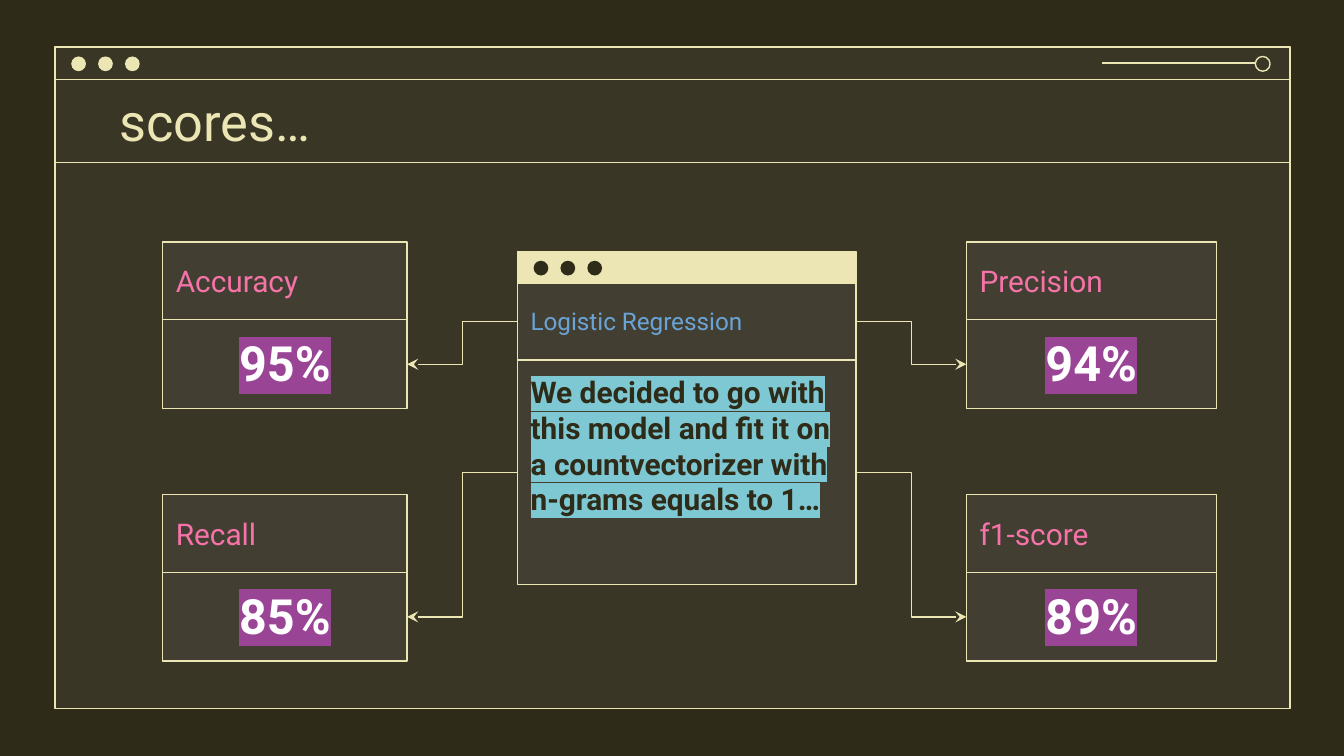
"""Build the model scores slide: four metric cards linked to a central model window."""
from dataclasses import dataclass

from lxml import etree
from pptx import Presentation
from pptx.dml.color import RGBColor
from pptx.enum.shapes import MSO_CONNECTOR, MSO_SHAPE
from pptx.enum.text import MSO_ANCHOR, MSO_AUTO_SIZE, PP_ALIGN
from pptx.oxml.ns import qn
from pptx.shapes.autoshape import Shape
from pptx.shapes.connector import Connector
from pptx.slide import Slide
from pptx.text.text import TextFrame
from pptx.util import Inches, Pt

RECT, OVAL = MSO_SHAPE.RECTANGLE, MSO_SHAPE.OVAL
STRAIGHT, ELBOW = MSO_CONNECTOR.STRAIGHT, MSO_CONNECTOR.ELBOW
LEFT, CENTER = PP_ALIGN.LEFT, PP_ALIGN.CENTER
TOP, MIDDLE = MSO_ANCHOR.TOP, MSO_ANCHOR.MIDDLE
NO_AUTOFIT = MSO_AUTO_SIZE.NONE
LEFT_SIDE, RIGHT_SIDE = 1, 3


@dataclass(frozen=True)
class Theme:
    """Colours, type sizes and line settings of the slide."""

    font: str = "Roboto"
    dark: str = "2F2B19"
    cream: str = "ECE5B4"
    veil: str = "7C7C7C"
    veil_alpha: int = 14
    pink: str = "F673A9"
    blue: str = "6AA4D6"
    white: str = "FFFFFF"
    purple: str = "9A4496"
    teal: str = "7EC8D4"
    title_size: int = 28
    score_size: int = 26
    text_size: int = 16
    model_size: int = 13
    line: float = 0.75


@dataclass(frozen=True)
class Box:
    """Position and size in inches."""

    left: float
    top: float
    width: float
    height: float


@dataclass(frozen=True)
class TextStyle:
    """Look of one text."""

    size: int
    color: str
    bold: bool = False
    highlight: str | None = None
    align: PP_ALIGN = LEFT
    anchor: MSO_ANCHOR = MIDDLE


@dataclass(frozen=True)
class Metric:
    """One score card and its side of the model window."""

    label: str
    score: str
    left: float
    top: float
    width: float
    window_side: int


THEME = Theme()
TITLE_STYLE = TextStyle(THEME.title_size, THEME.cream)
LABEL_STYLE = TextStyle(THEME.text_size, THEME.pink)
SCORE_STYLE = TextStyle(THEME.score_size, THEME.white, True, THEME.purple, CENTER, TOP)
MODEL_STYLE = TextStyle(THEME.model_size, THEME.blue)
REASON_STYLE = TextStyle(THEME.text_size, THEME.dark, True, THEME.teal, LEFT, TOP)

HEADER_HEIGHT, SCORE_HEIGHT = 0.58, 0.66
BAR_HEIGHT, DOT, DOT_STEP = 0.24, 0.11, 0.2
FRAME = Box(0.41, 0.35, 9.19, 4.92)
WINDOW = Box(3.85, 1.87, 2.52, 2.48)
MODEL_NAME_TOP = 2.1
RULE_TOP = 1.21
SLIDER_START, SLIDER_KNOB = 8.2, 9.34
METRICS = (
    Metric("Accuracy", "95%", 1.21, 1.8, 1.82, LEFT_SIDE),
    Metric("Precision", "94%", 7.19, 1.8, 1.86, RIGHT_SIDE),
    Metric("Recall", "85%", 1.21, 3.68, 1.82, LEFT_SIDE),
    Metric("f1-score", "89%", 7.19, 3.68, 1.86, RIGHT_SIDE),
)


def rgb(color: str) -> RGBColor:
    """Return the colour object for a hex value."""
    return RGBColor.from_string(color)


def add_block(slide: Slide, box: Box, fill: str | None = None, line: str | None = None,
              kind: MSO_SHAPE = RECT, alpha: int = 100) -> Shape:
    """Draw a preset shape, by default without fill or outline."""
    block = slide.shapes.add_shape(kind, Inches(box.left), Inches(box.top),
                                   Inches(box.width), Inches(box.height))
    block.shadow.inherit = False
    if fill:
        block.fill.solid()
        block.fill.fore_color.rgb = rgb(fill)
        if alpha < 100:
            color = block.fill._xPr.find(qn("a:solidFill"))[0]
            etree.SubElement(color, qn("a:alpha"), val=str(alpha * 1000))
    else:
        block.fill.background()
    if line:
        block.line.color.rgb = rgb(line)
        block.line.width = Pt(THEME.line)
    else:
        block.line.fill.background()
    return block


def add_veil(slide: Slide, box: Box) -> Shape:
    """Draw a faint translucent panel."""
    return add_block(slide, box, THEME.veil, alpha=THEME.veil_alpha)


def write(frame: TextFrame, text: str, style: TextStyle) -> None:
    """Write one styled run into a text frame."""
    frame.word_wrap = True
    frame.auto_size = NO_AUTOFIT
    frame.vertical_anchor = style.anchor
    frame.margin_left = frame.margin_right = Inches(0.1)
    frame.margin_top = frame.margin_bottom = Inches(0.1)
    paragraph = frame.paragraphs[0]
    paragraph.alignment = style.align
    run = paragraph.add_run()
    run.text = text
    run.font.name = THEME.font
    run.font.size = Pt(style.size)
    run.font.bold = style.bold
    run.font.color.rgb = rgb(style.color)
    if style.highlight:
        highlight = etree.Element(qn("a:highlight"))
        etree.SubElement(highlight, qn("a:srgbClr"), val=style.highlight)
        run.font._element.find(qn("a:solidFill")).addnext(highlight)


def add_text_block(slide: Slide, box: Box, text: str, style: TextStyle) -> Shape:
    """Draw an outlined rectangle with text."""
    block = add_block(slide, box, line=THEME.cream)
    write(block.text_frame, text, style)
    return block


def add_line(slide: Slide, kind: MSO_CONNECTOR, start: tuple[float, float] = (0, 0),
             end: tuple[float, float] = (0, 0)) -> Connector:
    """Draw a thin cream connector."""
    connector = slide.shapes.add_connector(kind, *map(Inches, start + end))
    connector.line.color.rgb = rgb(THEME.cream)
    connector.line.width = Pt(THEME.line)
    etree.SubElement(connector._element.spPr, qn("a:effectLst"))
    return connector


def add_arrow(slide: Slide, source: Shape, source_side: int, target: Shape) -> None:
    """Join two blocks with an elbow arrow."""
    arrow = add_line(slide, ELBOW)
    arrow.begin_connect(source, source_side)
    arrow.end_connect(target, LEFT_SIDE if source_side == RIGHT_SIDE else RIGHT_SIDE)
    etree.SubElement(arrow.line._get_or_add_ln(), qn("a:tailEnd"), type="stealth")


def add_window_bar(slide: Slide, window: Box, dot_color: str, fill: str | None = None) -> None:
    """Draw a window's top bar with its three dots."""
    add_block(slide, Box(window.left, window.top, window.width, BAR_HEIGHT), fill, THEME.cream)
    for index in range(3):
        add_block(slide, Box(window.left + 0.12 + index * DOT_STEP, window.top + 0.07, DOT, DOT),
                  dot_color, kind=OVAL)


def add_frame(slide: Slide) -> None:
    """Draw the outer window with its slider and title rule."""
    add_veil(slide, FRAME)
    add_block(slide, FRAME, line=THEME.cream)
    add_window_bar(slide, FRAME, THEME.cream)
    add_block(slide, Box(SLIDER_KNOB, FRAME.top + 0.07, DOT, DOT), line=THEME.cream, kind=OVAL)
    add_line(slide, STRAIGHT, (SLIDER_START, 0.47), (SLIDER_KNOB, 0.47))
    add_line(slide, STRAIGHT, (FRAME.left, RULE_TOP), (FRAME.left + FRAME.width, RULE_TOP))


def add_title(slide: Slide, text: str) -> None:
    """Place the title above the frame panel."""
    title = slide.shapes.title
    title.left, title.top, title.width, title.height = map(Inches, (0.79, 0.59, 8.43, 0.62))
    write(title.text_frame, text, TITLE_STYLE)
    slide.shapes._spTree.append(title._element)


def add_model_window(slide: Slide) -> tuple[Shape, Shape]:
    """Draw the model window and return its name and reason blocks."""
    reason_top = MODEL_NAME_TOP + HEADER_HEIGHT
    bottom = WINDOW.top + WINDOW.height
    add_veil(slide, Box(WINDOW.left, MODEL_NAME_TOP, WINDOW.width, bottom - MODEL_NAME_TOP))
    add_window_bar(slide, WINDOW, THEME.dark, THEME.cream)
    name = add_text_block(slide, Box(WINDOW.left, MODEL_NAME_TOP, WINDOW.width, HEADER_HEIGHT),
                          "Logistic Regression", MODEL_STYLE)
    reason = add_text_block(
        slide, Box(WINDOW.left, reason_top, WINDOW.width, bottom - reason_top),
        "We decided to go with this model and fit it on a countvectorizer "
        "with n-grams equals to 1…", REASON_STYLE)
    return name, reason


def add_metric(slide: Slide, metric: Metric) -> Shape:
    """Draw a metric card and return its score block."""
    left, top, width = metric.left, metric.top, metric.width
    add_veil(slide, Box(left, top, width, HEADER_HEIGHT + SCORE_HEIGHT))
    add_text_block(slide, Box(left, top, width, HEADER_HEIGHT), metric.label, LABEL_STYLE)
    return add_text_block(slide, Box(left, top + HEADER_HEIGHT, width, SCORE_HEIGHT),
                          metric.score, SCORE_STYLE)


def main() -> None:
    """Build and save the presentation."""
    deck = Presentation()
    deck.slide_width, deck.slide_height = Inches(10), Inches(10 * 9 / 16)
    slide = deck.slides.add_slide(deck.slide_layouts[5])
    slide.background.fill.solid()
    slide.background.fill.fore_color.rgb = rgb(THEME.dark)
    add_frame(slide)
    add_title(slide, "scores…")
    name, reason = add_model_window(slide)
    for metric, source in zip(METRICS, (name, name, reason, reason)):
        add_arrow(slide, source, metric.window_side, add_metric(slide, metric))
    deck.save("out.pptx")


if __name__ == "__main__":
    main()
